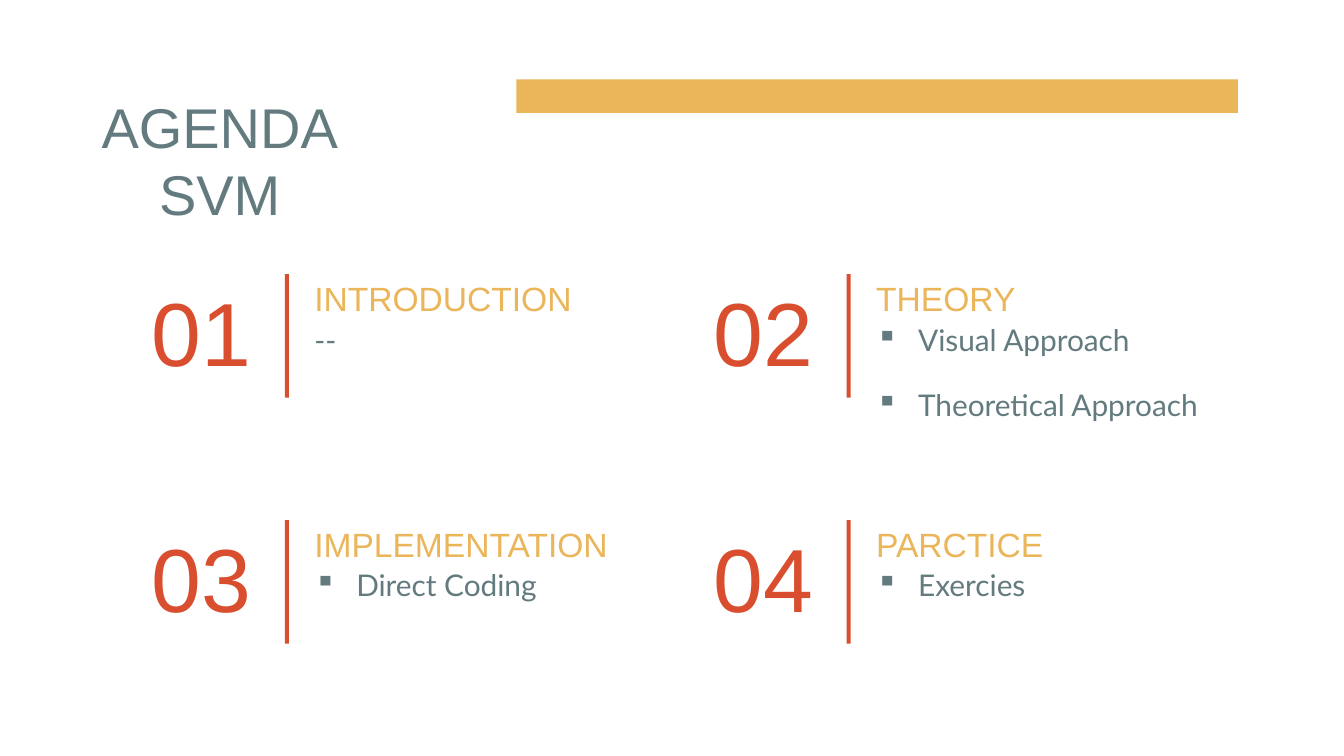
from lxml.etree import SubElement
from pptx import Presentation
from pptx.dml.color import RGBColor
from pptx.enum.shapes import MSO_SHAPE as Shape
from pptx.enum.text import MSO_ANCHOR as Anchor, PP_ALIGN as Align
from pptx.oxml.ns import qn
from pptx.util import Pt

GOLD, SLATE, RED = "EBB55A", "637B7F", "D84E2E"
TITLE = ["AGENDA", "SVM"]
TOPICS = [
    ("01", "INTRODUCTION", ["--"], False),
    ("02", "THEORY", ["Visual Approach", "Theoretical Approach"], True),
    ("03", "IMPLEMENTATION", ["Direct Coding"], True),
    ("04", "PARCTICE", ["Exercies"], True),
]
LEFT, TOP = 69.1, 146.9
COL_STEP, ROW_STEP = 301, 131.7
ROW_H = 66.2
INSET, INDENT = 7.2, 22.5


def color(value):
    return RGBColor.from_string(value)


def add_bar(s, x, y, w, h, fill):
    bar = s.shapes.add_shape(Shape.RECTANGLE, Pt(x), Pt(y), Pt(w), Pt(h))
    bar.shadow.inherit = False
    bar.fill.solid()
    bar.fill.fore_color.rgb = color(fill)
    bar.line.fill.background()


def add_bullet(p):
    pPr = p._p.get_or_add_pPr()
    pPr.set("marL", str(Pt(INDENT)))
    pPr.set("indent", str(-Pt(INDENT)))
    SubElement(SubElement(pPr, qn("a:buClr")), qn("a:srgbClr"), val=SLATE)
    SubElement(pPr, qn("a:buChar"), char="▪")


def add_text(s, box, lines, size, font, ink, align=Align.LEFT,
             anchor=Anchor.TOP, after=0, bullets=False):
    tf = s.shapes.add_textbox(*map(Pt, box)).text_frame
    tf.word_wrap = True
    tf.vertical_anchor = anchor
    tf.margin_left = tf.margin_right = Pt(INSET)
    tf.margin_top = tf.margin_bottom = Pt(INSET)
    for i, line in enumerate(lines):
        p = tf.add_paragraph() if i else tf.paragraphs[0]
        p.alignment = align
        p.space_after = Pt(after)
        if bullets:
            add_bullet(p)
        r = p.add_run()
        r.text = line
        r.font.size = Pt(size)
        r.font.name = font
        r.font.color.rgb = color(ink)


def add_topic(s, x, y, number, heading, items, bullets):
    add_text(s, (x, y, 72.7, ROW_H), [number], 48, "Arial", RED,
             align=Align.RIGHT, anchor=Anchor.BOTTOM)
    add_bar(s, x + 83.5, y, 2.2, ROW_H, RED)
    text_x = x + 92.2
    add_text(s, (text_x, y - 5.2, 198.7, 26.6), [heading], 18, "Arial", GOLD,
             after=16)
    w, h = (210, 64) if len(items) > 1 else (180, 48.2)
    add_text(s, (text_x, y + 18, w, h), items, 16, "Lato", SLATE,
             after=16, bullets=bullets)


prs = Presentation()
prs.slide_width, prs.slide_height = Pt(720), Pt(405)
s = prs.slides.add_slide(prs.slide_layouts[6])

add_bar(s, 276.7, 42.5, 386.5, 18, GOLD)
add_text(s, (0, 42.5, 235.5, 45.4), TITLE, 30, "Arial", SLATE, align=Align.CENTER)
for i, topic in enumerate(TOPICS):
    row, col = divmod(i, 2)
    add_topic(s, LEFT + col * COL_STEP, TOP + row * ROW_STEP, *topic)

prs.save("out.pptx")
